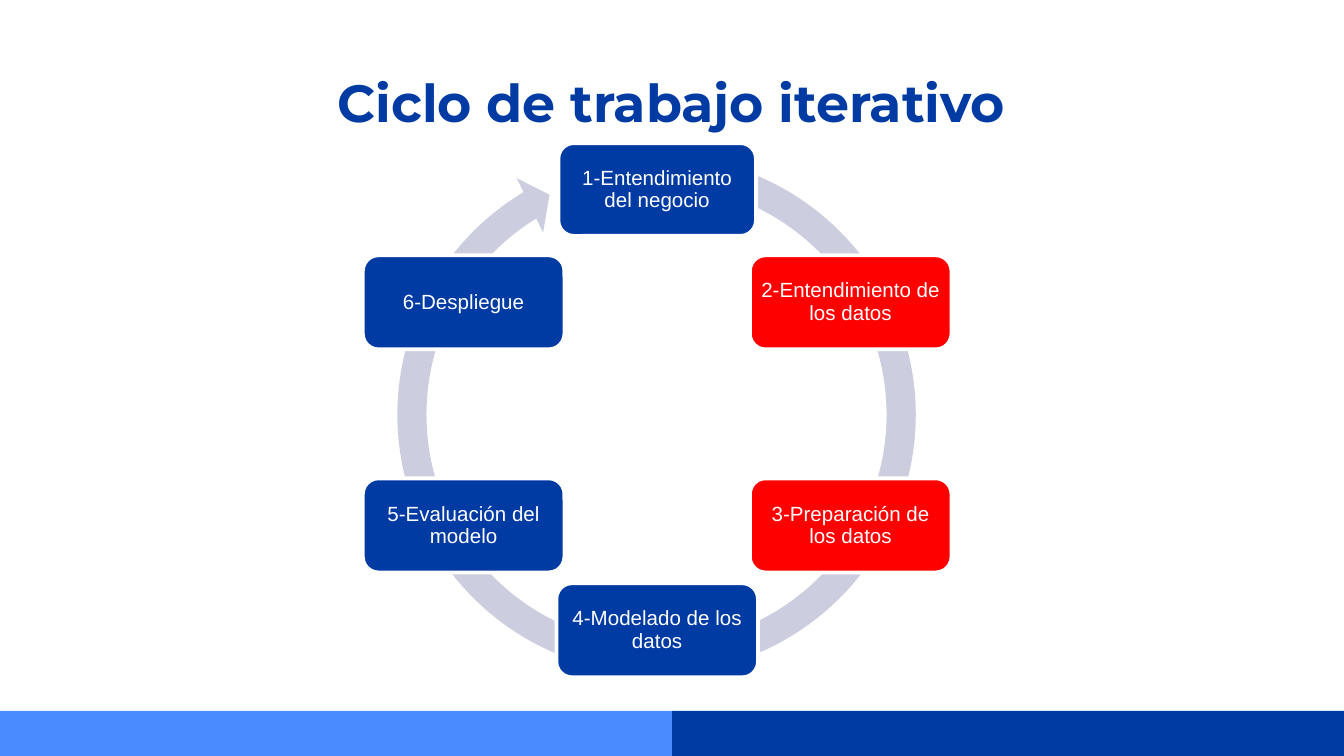
from pptx import Presentation
from pptx.dml.color import RGBColor
from pptx.enum.shapes import MSO_SHAPE
from pptx.enum.text import MSO_ANCHOR, PP_ALIGN
from pptx.util import Inches, Pt

NAVY, SKY, RED, LAVENDER, WHITE = "003BA3", "4A8CFF", "FF0000", "CCCEE0", "FFFFFF"

SLIDE_WIDTH = Inches(10)
SLIDE_HEIGHT = SLIDE_WIDTH * 9 // 16

CENTER_X = 4.89
SIDE_OFFSET = 1.44
LEFT_X, RIGHT_X = CENTER_X - SIDE_OFFSET, CENTER_X + SIDE_OFFSET
TOP_Y, UPPER_Y, LOWER_Y, BOTTOM_Y = 1.41, 2.25, 3.91, 4.69

# label, center x, center y, width, height, fill
STEPS = [
    ("1-Entendimiento del negocio", CENTER_X, TOP_Y, 1.47, 0.69, NAVY),
    ("2-Entendimiento de los datos", RIGHT_X, UPPER_Y, 1.5, 0.7, RED),
    ("3-Preparación de los datos", RIGHT_X, LOWER_Y, 1.5, 0.7, RED),
    ("4-Modelado de los datos", CENTER_X, BOTTOM_Y, 1.5, 0.7, NAVY),
    ("5-Evaluación del modelo", LEFT_X, LOWER_Y, 1.5, 0.7, NAVY),
    ("6-Despliegue", LEFT_X, UPPER_Y, 1.5, 0.7, NAVY),
]


def color(hex_code):
    return RGBColor.from_string(hex_code)


def add_filled(slide, preset, left, top, width, height, fill):
    """Add a preset shape with a solid fill, no outline and no shadow."""
    shape = slide.shapes.add_shape(
        preset, Inches(left), Inches(top), Inches(width), Inches(height))
    shape.shadow.inherit = False
    shape.fill.solid()
    shape.fill.fore_color.rgb = color(fill)
    shape.line.fill.background()
    return shape


def write_centered(frame, text, font, size, hex_code, inset, bold=False):
    frame.word_wrap = True
    frame.margin_left = frame.margin_right = Inches(inset)
    frame.margin_top = frame.margin_bottom = Inches(inset)
    paragraph = frame.paragraphs[0]
    paragraph.alignment = PP_ALIGN.CENTER
    run = paragraph.add_run()
    run.text = text
    run.font.name = font
    run.font.size = Pt(size)
    run.font.bold = bold
    run.font.color.rgb = color(hex_code)
    return paragraph


def add_title(slide, text):
    title = slide.shapes.add_textbox(
        Inches(0.78), Inches(0.42), Inches(8.43), Inches(0.63))
    write_centered(title.text_frame, text, "Montserrat", 28, NAVY, 0.1, bold=True)


def add_cycle_arrow(slide):
    arrow = add_filled(
        slide, MSO_SHAPE.CIRCULAR_ARROW, 2.84, 1.04, 4.09, 4.09, LAVENDER)
    # band thickness, head angle, end angle, start angle, head width
    for index, value in enumerate((0.053, 3.13, 143.29, 170.68, 0.055)):
        arrow.adjustments[index] = value


def add_step(slide, label, center_x, center_y, width, height, fill):
    step = add_filled(slide, MSO_SHAPE.ROUNDED_RECTANGLE,
                      center_x - width / 2, center_y - height / 2,
                      width, height, fill)
    step.line.color.rgb = color(WHITE)
    step.line.width = Pt(2)
    step.text_frame.vertical_anchor = MSO_ANCHOR.MIDDLE
    paragraph = write_centered(step.text_frame, label, "Arial", 11, WHITE, 0.05)
    paragraph.line_spacing = 0.9


def main():
    deck = Presentation()
    deck.slide_width, deck.slide_height = SLIDE_WIDTH, SLIDE_HEIGHT
    slide = deck.slides.add_slide(deck.slide_layouts[6])

    for left, fill in ((5, NAVY), (0, SKY)):
        add_filled(slide, MSO_SHAPE.RECTANGLE, left, 5.29, 5, 0.34, fill)
    add_title(slide, "Ciclo de trabajo iterativo")
    add_cycle_arrow(slide)
    for step in STEPS:
        add_step(slide, *step)

    deck.save("out.pptx")


if __name__ == "__main__":
    main()
